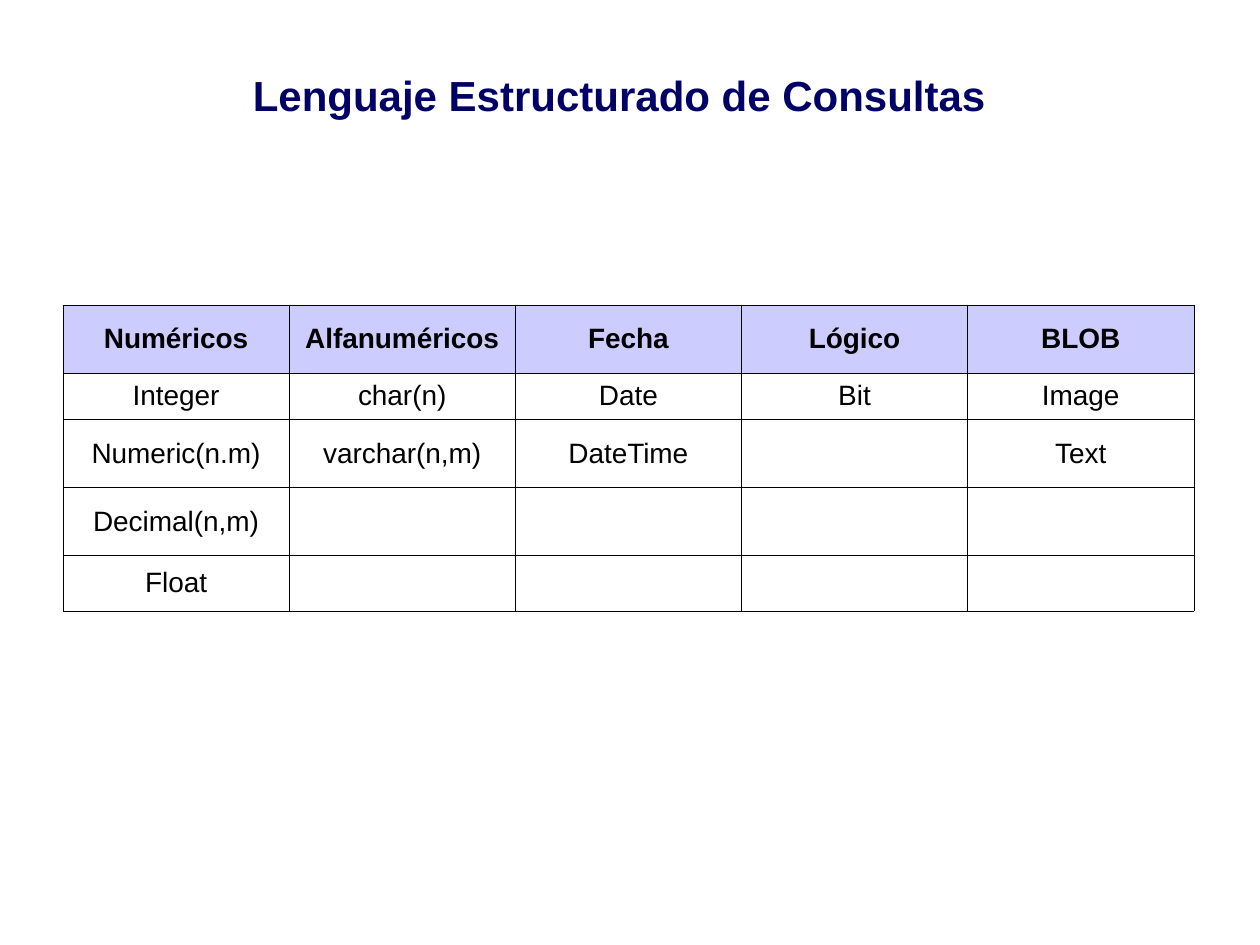
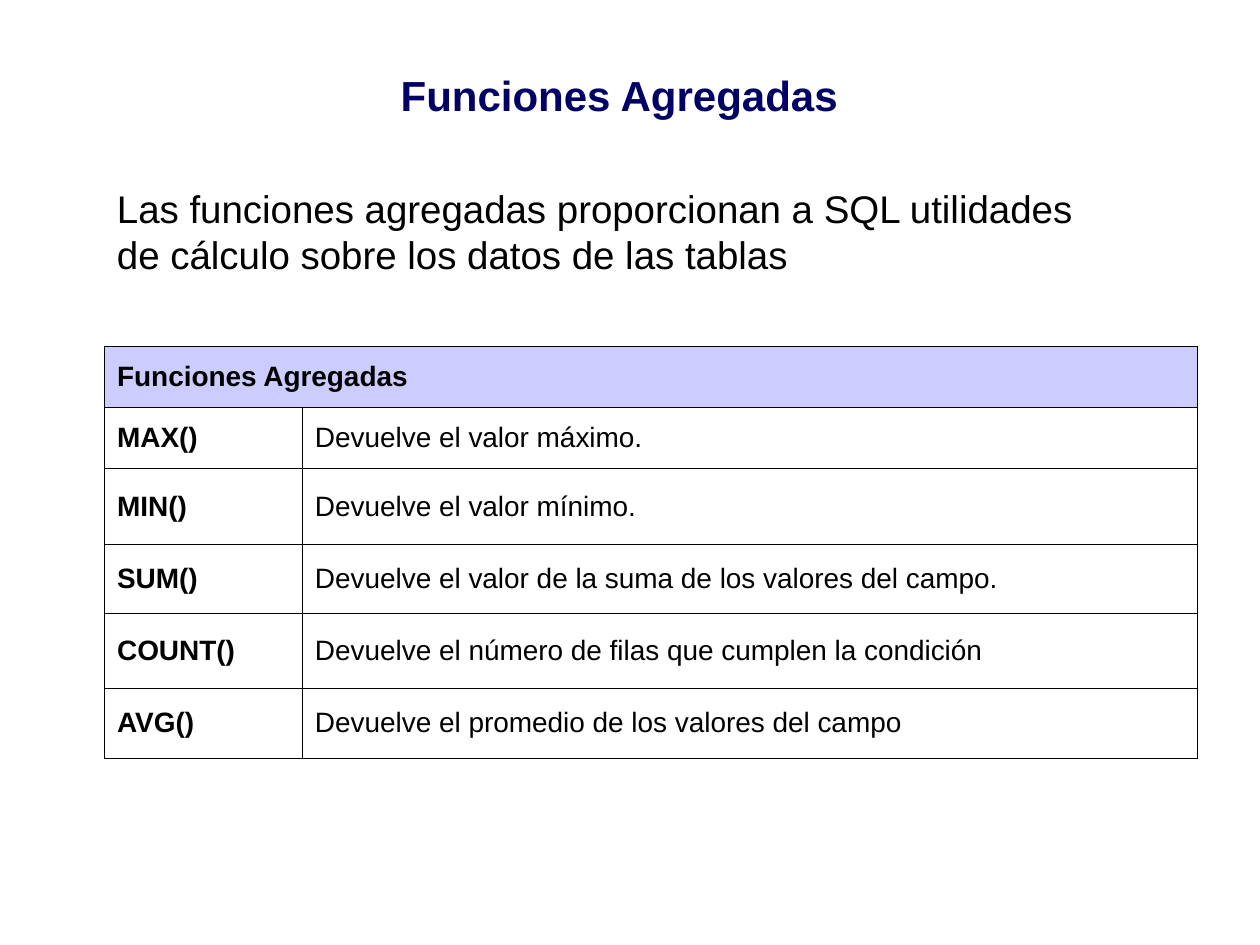
from lxml.etree import SubElement
from pptx import Presentation
from pptx.dml.color import RGBColor
from pptx.enum.text import MSO_ANCHOR, MSO_AUTO_SIZE, PP_ALIGN
from pptx.oxml.ns import qn
from pptx.util import Inches, Pt

COLORS = {"title": "000066", "text": "000000", "header": "CCCCFF", "border": "000000"}
FONT = "Arial"
TITLE_BOX = (1.5, 0.42, 6.83, 0.67)
BORDER_WIDTH = Pt(0.34)

DATA_TYPES = [
    ("Numéricos", "Alfanuméricos", "Fecha", "Lógico", "BLOB"),
    ("Integer", "char(n)", "Date", "Bit", "Image"),
    ("Numeric(n.m)", "varchar(n,m)", "DateTime", "", "Text"),
    ("Decimal(n,m)", "", "", "", ""),
    ("Float", "", "", "", ""),
]
AGGREGATES = [
    ("Funciones Agregadas", ""),
    ("MAX()", "Devuelve el valor máximo."),
    ("MIN()", "Devuelve el valor mínimo."),
    ("SUM()", "Devuelve el valor de la suma de los valores del campo."),
    ("COUNT()", "Devuelve el número de filas que cumplen la condición"),
    ("AVG()", "Devuelve el promedio de los valores del campo"),
]


def write(frame, text, size, color="text", bold=False, align=PP_ALIGN.LEFT):
    """Put one formatted paragraph in a text frame."""
    frame.text = text
    paragraph = frame.paragraphs[0]
    paragraph.alignment = align
    for run in paragraph.runs:
        run.font.name = FONT
        run.font.size = Pt(size)
        run.font.bold = bold
        run.font.color.rgb = RGBColor.from_string(COLORS[color])
    return paragraph


def add_text_frame(slide, box):
    frame = slide.shapes.add_textbox(*map(Inches, box)).text_frame
    frame.word_wrap = True
    return frame


def add_titled_slide(prs, title):
    slide = prs.slides.add_slide(prs.slide_layouts[6])
    frame = add_text_frame(slide, TITLE_BOX)
    frame.vertical_anchor = MSO_ANCHOR.MIDDLE
    write(frame, title, 24, "title", True, PP_ALIGN.CENTER)
    return slide


def add_intro(slide, box, text):
    frame = add_text_frame(slide, box)
    frame.auto_size = MSO_AUTO_SIZE.SHAPE_TO_FIT_TEXT
    write(frame, text, 22).space_before = Pt(5)


def outline(cell):
    """Draw a thin line on all four sides of a cell."""
    properties = cell._tc.get_or_add_tcPr()
    for side in ("a:lnL", "a:lnR", "a:lnT", "a:lnB"):
        line = SubElement(properties, qn(side), w=str(int(BORDER_WIDTH)))
        fill = SubElement(line, qn("a:solidFill"))
        SubElement(fill, qn("a:srgbClr"), val=COLORS["border"])


def add_grid(slide, left, top, widths, heights, rows, align, bold_labels=False):
    """Add a bordered table with a tinted header row."""
    box = (left, top, sum(widths), sum(heights))
    table = slide.shapes.add_table(len(rows), len(widths), *map(Inches, box)).table
    table.first_row = table.horz_banding = False
    for column, width in zip(table.columns, widths):
        column.width = Inches(width)
    for row, height in zip(table.rows, heights):
        row.height = Inches(height)

    for r, texts in enumerate(rows):
        for c, text in enumerate(texts):
            cell = table.cell(r, c)
            outline(cell)
            if r == 0:
                cell.fill.solid()
                cell.fill.fore_color.rgb = RGBColor.from_string(COLORS["header"])
            else:
                cell.fill.background()
            cell.vertical_anchor = MSO_ANCHOR.MIDDLE
            bold = r == 0 or (bold_labels and c == 0)
            write(cell.text_frame, text, 16, bold=bold, align=align)
    return table


def build_data_types(prs):
    slide = add_titled_slide(prs, "Lenguaje Estructurado de Consultas")
    add_grid(slide, 0.5, 2.42, [1.795] * 5, [0.54, 0.37, 0.54, 0.54, 0.44],
             DATA_TYPES, PP_ALIGN.CENTER)


def build_aggregates(prs):
    slide = add_titled_slide(prs, "Funciones Agregadas")
    add_intro(slide, (0.83, 1.42, 7.92, 0.84),
              "Las funciones agregadas proporcionan a SQL utilidades "
              "de cálculo sobre los datos de las tablas")
    functions = add_grid(slide, 0.83, 2.75, [1.57, 7.1],
                         [0.48, 0.49, 0.6, 0.55, 0.59, 0.56],
                         AGGREGATES, PP_ALIGN.LEFT, bold_labels=True)
    # The heading spans both columns
    functions.cell(0, 0).merge(functions.cell(0, 1))


def main():
    prs = Presentation()
    prs.slide_width, prs.slide_height = Inches(10), Inches(7.5)
    build_data_types(prs)
    build_aggregates(prs)
    prs.save("out.pptx")


if __name__ == "__main__":
    main()
